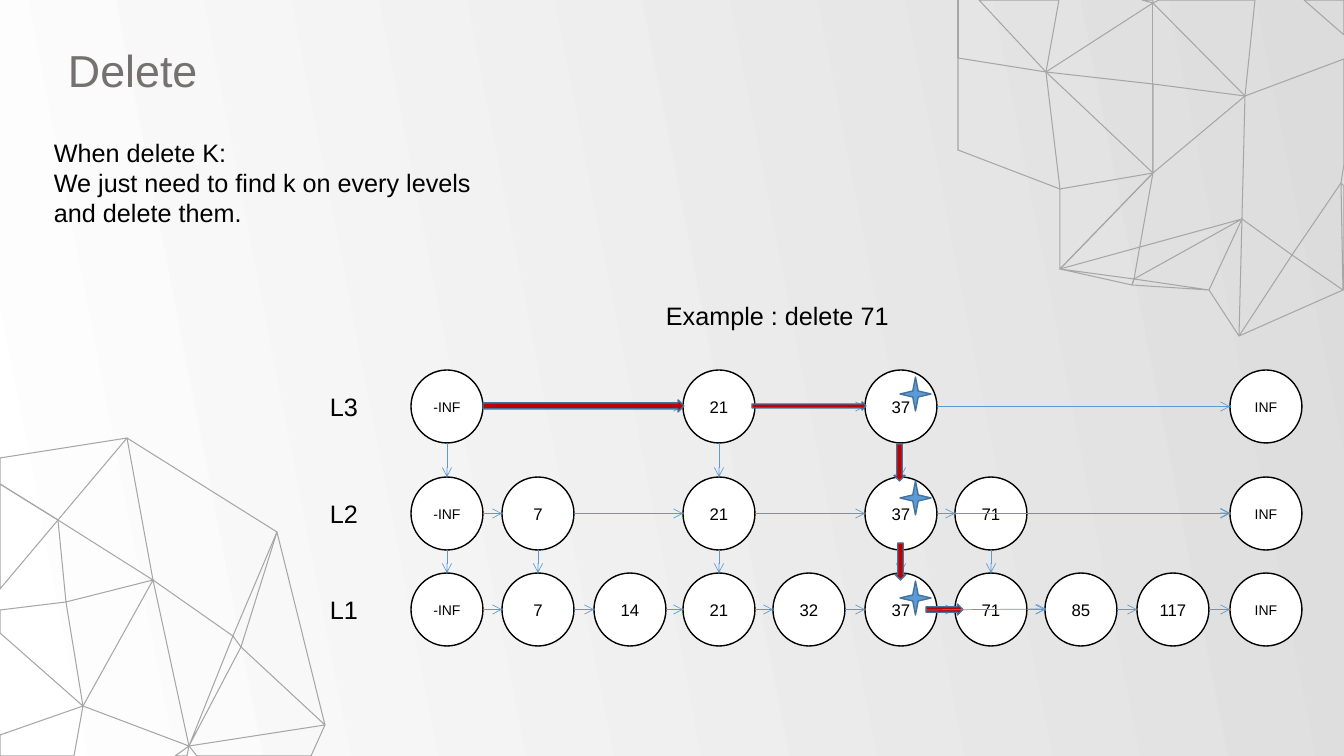
from lxml.etree import SubElement
from pptx import Presentation
from pptx.dml.color import RGBColor
from pptx.enum.shapes import MSO_CONNECTOR, MSO_SHAPE
from pptx.enum.text import MSO_ANCHOR, PP_ALIGN
from pptx.oxml.ns import qn
from pptx.util import Pt

SCALE = 914400 / 100.8
FONT = "Arial"
COLORS = {
    "white": "FFFFFF", "black": "000000", "shade": "DCDCDC", "mesh": "A6A6A6",
    "title": "767171", "blue": "5B9BD5", "edge": "43739E", "red": "C00000",
}
WIDE, HIGH = 72, 73
LEFTS = {
    "-INF": 411, "7": 502, "14": 594, "21": 683, "32": 773,
    "37": 865, "71": 955, "85": 1045, "117": 1137, "INF": 1230,
}
LEVELS = [
    ("L3", 370, ["-INF", "21", "37", "INF"]),
    ("L2", 477, ["-INF", "7", "21", "37", "71", "INF"]),
    ("L1", 573, list(LEFTS)),
]
STEPS = [
    (483, 400, 201, 12, 0), (752, 402, 114, 8, 0), (881, 457, 37, 11, 90),
    (882, 556, 37, 11, 90), (926, 604, 37, 11, 0),
]
STARS = [377, 481, 581]
LOWER = {
    "a": (0, 484), "b": (0, 589), "c": (58, 520), "d": (0, 633), "e": (0, 610),
    "f": (66, 602), "g": (83, 706), "h": (74, 756), "i": (0, 756), "j": (0, 735),
    "k": (127, 438), "l": (0, 458), "m": (153, 580), "n": (189, 746),
    "o": (187, 756), "p": (175, 756), "q": (241, 647), "r": (233, 636),
    "s": (277, 532), "t": (325, 725), "u": (311, 756), "v": (197, 756),
}
LOWER_FACES = "cba gdef ghij kcal mfc ngm nop qnr srmk tqs tuvn"
UPPER = {
    "a": (958, 0), "b": (958, 58), "c": (1059, 0), "d": (1046, 72), "e": (979, 0),
    "f": (1060, 189), "g": (958, 150), "h": (1134, 279), "i": (1132, 285),
    "j": (1060, 269), "l": (1153, 3), "m": (1142, 0), "n": (1153, 0),
    "o": (1153, 173), "p": (1153, 84), "q": (1209, 290), "s": (1242, 219),
    "t": (1239, 336), "u": (1245, 96), "v": (1255, 0), "w": (1159, 0),
    "x": (1343, 290), "y": (1292, 255), "z": (1341, 183), "A": (1344, 59),
    "B": (1344, 164), "C": (1344, 186), "D": (1344, 289), "E": (1344, 0),
    "F": (1344, 35), "G": (1304, 0),
}
UPPER_FACES = "ab cde fgbd hij dl lp nlm odp ojf qih shoj stq uop vulw xty ABzysu CDxz EFG"


def px(*sizes):
    """Turn pixel lengths into EMU."""
    return [round(size * SCALE) for size in sizes]


def tint(name):
    """Look up a named colour."""
    return RGBColor.from_string(COLORS[name])


def style(par, size, color):
    """Set the font of a paragraph."""
    par.font.name, par.font.size = FONT, Pt(size)
    par.font.color.rgb = tint(color)


def add_text(slide, box, lines, size=18, color="black"):
    """Add a wrapped text box."""
    frame = slide.shapes.add_textbox(*px(*box)).text_frame
    frame.word_wrap = True
    frame.text = "\n".join(lines)
    for par in frame.paragraphs:
        style(par, size, color)


def add_form(slide, kind, box, fill, line):
    """Add a filled preset shape."""
    form = slide.shapes.add_shape(kind, *px(*box))
    form.shadow.inherit = False
    form.fill.solid()
    form.fill.fore_color.rgb = tint(fill)
    form.line.color.rgb = tint(line)
    form.line.width = Pt(1)
    return form


def add_node(slide, key, top):
    """Add one circle of the skip list."""
    box = (LEFTS[key], top, WIDE, HIGH)
    frame = add_form(slide, MSO_SHAPE.OVAL, box, "white", "black").text_frame
    frame.word_wrap = False
    frame.vertical_anchor = MSO_ANCHOR.MIDDLE
    frame.text = key
    par = frame.paragraphs[0]
    par.alignment = PP_ALIGN.CENTER
    style(par, 10 if "INF" in key else 12, "black")


def add_link(slide, *ends):
    """Add a thin arrow between two points."""
    link = slide.shapes.add_connector(MSO_CONNECTOR.STRAIGHT, *px(*ends))
    link.line.color.rgb = tint("blue")
    link.line.width = Pt(0.5)
    props = link.element.spPr
    SubElement(props.find(qn("a:ln")), qn("a:tailEnd"), type="arrow")
    SubElement(props, qn("a:effectLst"))


def add_mesh(slide, points, faces):
    """Add a net of outlined faces."""
    paths = [[points[key] for key in face] for face in faces.split()]
    pen = slide.shapes.build_freeform(*paths[0][0], scale=SCALE)
    for path in paths:
        pen.move_to(*path[0])
        pen.add_line_segments(path[1:], close=True)
    mesh = pen.convert_to_shape()
    mesh.shadow.inherit = False
    mesh.fill.background()
    mesh.line.color.rgb = tint("mesh")
    mesh.line.width = Pt(0.75)


def add_list(slide):
    """Add the levels with their nodes and links."""
    for label, top, keys in LEVELS:
        add_text(slide, (320, top + 16, 88, 40), [label])
        for key in keys:
            add_node(slide, key, top)
    for label, top, keys in LEVELS:
        mid = top + HIGH / 2
        for key, after in zip(keys, keys[1:]):
            add_link(slide, LEFTS[key] + WIDE, mid, LEFTS[after], mid)
    for (label, top, keys), (below, base, other) in zip(LEVELS, LEVELS[1:]):
        for key in keys[:-1]:
            mid = LEFTS[key] + WIDE / 2
            add_link(slide, mid, top + HIGH, mid, base)


def add_search(slide):
    """Mark the search steps and strike out the deleted nodes."""
    for *box, turn in STEPS:
        step = add_form(slide, MSO_SHAPE.RIGHT_ARROW, box, "red", "edge")
        step.rotation = turn
    for top in STARS:
        add_form(slide, MSO_SHAPE.STAR_4_POINT, (900, top, 31, 34), "blue", "edge")
    add_link(slide, 937, 513, 1230, 513)
    add_link(slide, 926, 610, 1046, 609)


def add_back(slide):
    """Fill the background with a gradient."""
    fill = slide.background.fill
    fill.gradient()
    fill.gradient_angle = 11
    for stop, name in zip(fill.gradient_stops, ("white", "shade")):
        stop.color.rgb = tint(name)


def main():
    """Build the slide and save it."""
    deck = Presentation()
    deck.slide_width, deck.slide_height = px(1344, 756)
    slide = deck.slides.add_slide(deck.slide_layouts[6])
    add_back(slide)
    add_mesh(slide, LOWER, LOWER_FACES)
    add_mesh(slide, UPPER, UPPER_FACES)
    add_text(slide, (58, 38, 293, 65), ["Delete"], 32, "title")
    add_list(slide)
    add_text(slide, (656, 295, 595, 40), ["Example : delete 71"])
    add_search(slide)
    add_text(slide, (44, 132, 463, 102), [
        "When delete K:",
        "We just need to find k on every levels and delete them.",
    ])
    deck.save("out.pptx")


if __name__ == "__main__":
    main()
